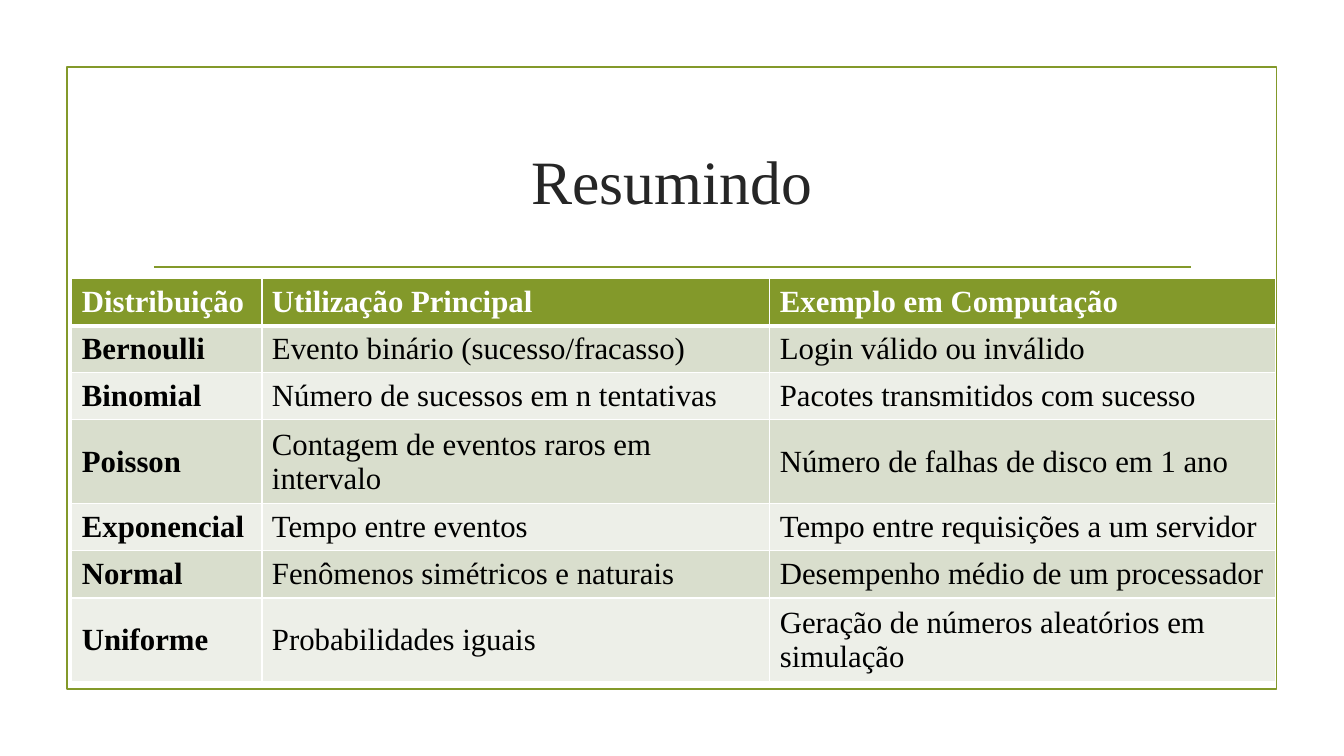
"""Build the summary slide of probability distributions."""
from typing import Any, NamedTuple

from lxml.etree import SubElement
from pptx import Presentation
from pptx.dml.color import RGBColor
from pptx.enum.shapes import MSO_CONNECTOR as Connector, MSO_SHAPE as Shape
from pptx.enum.text import MSO_ANCHOR as Anchor, PP_ALIGN as Align
from pptx.oxml import parse_xml
from pptx.oxml.ns import nsdecls, qn
from pptx.util import Pt

COLORS = {
    "green": "83992A",
    "title": "262626",
    "body": "000000",
    "white": "FFFFFF",
    "dark_band": "D9DECD",
    "light_band": "EDEFE8",
}
FONT = "Times New Roman"
LINE_WIDTH = Pt(1.25)
COLUMN_WIDTHS = (135.8, 362.8, 361.3)
ROW_HEIGHT = 29.5


class Distribution(NamedTuple):
    name: str
    usage: str
    example: str


HEADER = Distribution("Distribuição", "Utilização Principal", "Exemplo em Computação")
DISTRIBUTIONS = (
    Distribution("Bernoulli", "Evento binário (sucesso/fracasso)", "Login válido ou inválido"),
    Distribution("Binomial", "Número de sucessos em n tentativas", "Pacotes transmitidos com sucesso"),
    Distribution("Poisson", "Contagem de eventos raros em intervalo", "Número de falhas de disco em 1 ano"),
    Distribution("Exponencial", "Tempo entre eventos", "Tempo entre requisições a um servidor"),
    Distribution("Normal", "Fenômenos simétricos e naturais", "Desempenho médio de um processador"),
    Distribution("Uniforme", "Probabilidades iguais", "Geração de números aleatórios em simulação"),
)


def color(name: str) -> RGBColor:
    return RGBColor.from_string(COLORS[name])


def write(paragraph: Any, text: str, color_name: str, size: float, bold: bool = False) -> None:
    run = paragraph.add_run()
    run.text = text
    formats = {"name": FONT, "size": Pt(size), "bold": bold}
    for attribute, value in formats.items():
        setattr(run.font, attribute, value)
    run.font.color.rgb = color(color_name)


def draw_frame(slide: Any) -> None:
    frame = slide.shapes.add_shape(Shape.RECTANGLE, Pt(47.8), Pt(48), Pt(864), Pt(444))
    frame.shadow.inherit = False
    frame.fill.background()
    frame.line.color.rgb = color("green")
    frame.line.width = LINE_WIDTH


def draw_rule(slide: Any) -> None:
    rule = slide.shapes.add_connector(Connector.STRAIGHT, Pt(110), Pt(190.6), Pt(850.5), Pt(190.6))
    rule.line.color.rgb = color("green")
    rule.line.width = LINE_WIDTH
    SubElement(rule._element.spPr, qn("a:effectLst"))


def draw_title(slide: Any) -> None:
    title = slide.shapes.add_textbox(Pt(102), Pt(77), Pt(756), Pt(103))
    formats = {"word_wrap": True, "vertical_anchor": Anchor.MIDDLE}
    for attribute, value in formats.items():
        setattr(title.text_frame, attribute, value)
    paragraph = title.text_frame.paragraphs[0]
    paragraph.alignment = Align.CENTER
    write(paragraph, "Resumindo", "title", 44)


def set_borders(cell: Any, top: float, bottom: float) -> None:
    properties = cell._tc.get_or_add_tcPr()
    widths = {"lnL": 1, "lnR": 1, "lnT": top, "lnB": bottom}
    for index, (side, width) in enumerate(widths.items()):
        border = parse_xml(
            f'<a:{side} {nsdecls("a")} w="{Pt(width)}"><a:solidFill>'
            f'<a:srgbClr val="{COLORS["white"]}"/></a:solidFill></a:{side}>'
        )
        properties.insert(index, border)


def draw_table(slide: Any) -> None:
    rows = (HEADER, *DISTRIBUTIONS)
    table = slide.shapes.add_table(
        len(rows), len(COLUMN_WIDTHS), Pt(51.3), Pt(199),
        Pt(sum(COLUMN_WIDTHS)), Pt(ROW_HEIGHT * len(rows)),
    ).table
    for column, width in zip(table.columns, COLUMN_WIDTHS):
        column.width = Pt(width)
    for row_index, distribution in enumerate(rows):
        table.rows[row_index].height = Pt(ROW_HEIGHT)
        is_header = row_index == 0
        band = "dark_band" if row_index % 2 else "light_band"
        for column_index, text in enumerate(distribution):
            cell = table.cell(row_index, column_index)
            cell.vertical_anchor = Anchor.MIDDLE
            cell.fill.solid()
            cell.fill.fore_color.rgb = color("green" if is_header else band)
            set_borders(cell, 3 if row_index == 1 else 1, 3 if is_header else 1)
            write(cell.text_frame.paragraphs[0], text, "white" if is_header else "body",
                  22, is_header or column_index == 0)


def main() -> None:
    presentation = Presentation()
    presentation.slide_width = Pt(960)
    presentation.slide_height = Pt(540)
    slide = presentation.slides.add_slide(presentation.slide_layouts[6])
    draw_frame(slide)
    draw_rule(slide)
    draw_title(slide)
    draw_table(slide)
    presentation.save("out.pptx")


if __name__ == "__main__":
    main()
